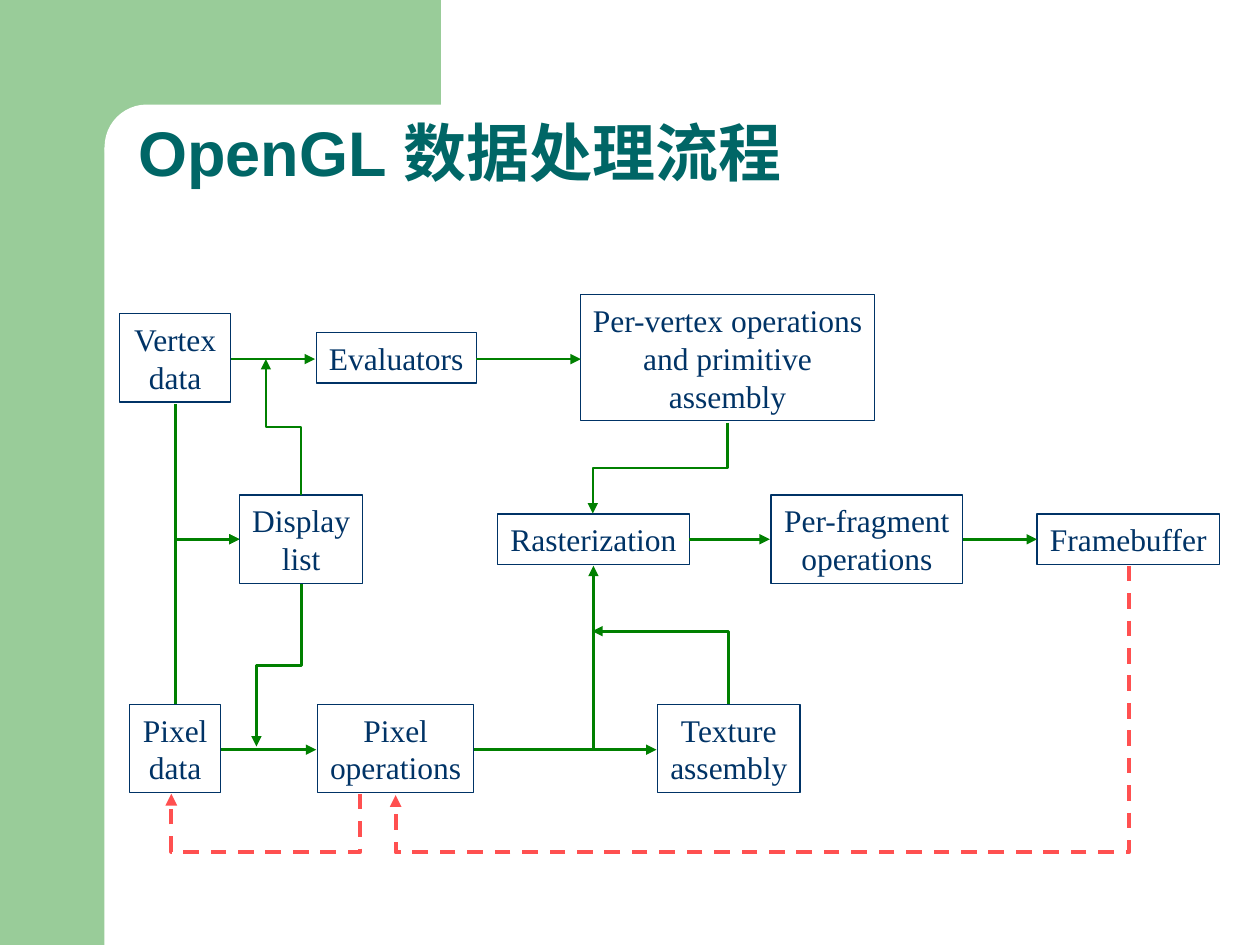
from lxml import etree
from pptx import Presentation
from pptx import util as u
from pptx.dml import color
from pptx.enum import dml, shapes, text
from pptx.oxml import ns

hue = color.RGBColor.from_string
GREEN, RED, NAVY, TEAL, PALE, WHITE = (
    "008000", "FF5050", "003366", "006666", "99CC99", "FFFFFF")

deck = Presentation()
deck.slide_width, deck.slide_height = u.Inches(10), u.Inches(7.5)
slide = deck.slides.add_slide(deck.slide_layouts[6])
items = slide.shapes


def ink(item, tone, width):
    item.line.color.rgb = hue(tone)
    item.line.width = u.Pt(width)
    if tone == RED:
        item.line.dash_style = dml.MSO_LINE.DASH
    edge = item.line._get_or_add_ln()
    etree.SubElement(edge, ns.qn("a:tailEnd"), type="triangle")


def write(para, words, font, size, tone, bold=False):
    run = para.add_run()
    run.text = words
    run.font.name = font
    run.font.size = u.Pt(size)
    run.font.bold = bold
    run.font.color.rgb = hue(tone)


kind = shapes.MSO_SHAPE
for form, spot, tone in [
    (kind.RECTANGLE, (0, 0, 0.83, 7.5), PALE),
    (kind.RECTANGLE, (0.75, 0, 2.75, 1.17), PALE),
    (kind.ROUNDED_RECTANGLE, (0.83, 0.83, 5.58, 0.67), WHITE),
]:
    block = items.add_shape(form, *map(u.Inches, spot))
    block.shadow.inherit = False
    block.fill.solid()
    block.fill.fore_color.rgb = hue(tone)
    block.line.fill.background()
block.adjustments[0] = 0.5

title = items.add_textbox(*map(u.Inches, (1, 0.74, 8.75, 0.82))).text_frame
title.word_wrap = True
title.vertical_anchor = text.MSO_ANCHOR.BOTTOM
head = title.paragraphs[0]
head.line_spacing = 0.9
write(head, "OpenGL 数据处理流程", "Arial", 36, TEAL, True)

for lines, x, y, w, h in [
    (["Vertex", "data"], 0.95, 2.49, 0.88, 0.7),
    (["Evaluators"], 2.51, 2.64, 1.27, 0.4),
    (["Per-vertex operations and primitive assembly"], 4.61, 2.34, 2.33, 1),
    (["Pixel", "data"], 1.03, 5.59, 0.72, 0.7),
    (["Pixel", "operations"], 2.52, 5.59, 1.24, 0.7),
    (["Texture", "assembly"], 5.22, 5.59, 1.13, 0.7),
    (["Display", "list"], 1.9, 3.93, 0.98, 0.7),
    (["Rasterization"], 3.95, 4.08, 1.52, 0.4),
    (["Per-fragment", "operations"], 6.12, 3.93, 1.52, 0.7),
    (["Framebuffer"], 8.23, 4.08, 1.45, 0.4),
]:
    box = items.add_textbox(*map(u.Inches, (x, y, w, h)))
    box.line.color.rgb = hue(NAVY)
    box.line.width = u.Pt(0.75)
    frame = box.text_frame
    frame.margin_left = frame.margin_right = u.Inches(0.08)
    frame.word_wrap = h == 1
    frame.auto_size = text.MSO_AUTO_SIZE.NONE
    for i, words in enumerate(lines):
        para = frame.add_paragraph() if i else frame.paragraphs[0]
        para.alignment = text.PP_ALIGN.CENTER
        write(para, words, "Times New Roman", 18, NAVY)

for form, x, y, w, h, turn, flip, bend, tone in [
    ("line", 1.83, 2.85, 0.67, 0, 0, "", None, GREEN),
    ("line", 3.78, 2.85, 0.83, 0, 0, "", None, GREEN),
    ("bentConnector2", 1.11, 3.49, 1.07, 0.51, 270, "H", None, GREEN),
    ("bentConnector2", 0.99, 4.68, 1.31, 0.51, 90, "HV", None, GREEN),
    ("line", 1.75, 5.95, 0.76, 0, 0, "", None, GREEN),
    ("bentConnector3", 1.71, 3.25, 1.08, 0.28, 270, "V", 0.5, GREEN),
    ("bentConnector3", 1.57, 5.1, 1.29, 0.36, 90, "", 0.5, GREEN),
    ("line", 3.76, 5.95, 1.45, 0, 0, "", None, GREEN),
    ("bentConnector2", 4.95, 4.76, 0.58, 1.08, 270, "V", None, GREEN),
    ("bentConnector2", 3.77, 4.49, 0.94, 1.46, 0, "V", None, GREEN),
    ("bentConnector3", 4.88, 3.18, 0.72, 1.07, 90, "", 0.5, GREEN),
    ("line", 5.47, 4.28, 0.64, 0, 0, "", None, GREEN),
    ("line", 7.64, 4.28, 0.59, 0, 0, "", None, GREEN),
    ("bentConnector3", 5.14, 2.49, 1.82, 5.82, 90, "", 1.25, RED),
]:
    ends = map(u.Inches, (x, y, x + w, y + h))
    wire = items.add_connector(shapes.MSO_CONNECTOR.STRAIGHT, *ends)
    ink(wire, tone, 2.25 if tone == RED else 1.5)
    props = wire._element.spPr
    etree.SubElement(props, ns.qn("a:effectLst"))
    place = props.find(ns.qn("a:xfrm"))
    if turn:
        place.set("rot", str(turn * 60000))
    for axis in flip:
        place.set("flip" + axis, "1")
    shape = props.find(ns.qn("a:prstGeom"))
    shape.set("prst", form)
    if bend:
        guides = shape.find(ns.qn("a:avLst"))
        etree.SubElement(guides, ns.qn("a:gd"), name="adj1",
                         fmla=f"val {round(bend * 100000)}")

loop = [(u.Inches(x), u.Inches(y)) for x, y in
        [(2.86, 6.3), (2.86, 6.76), (1.36, 6.76), (1.36, 6.3)]]
pen = items.build_freeform(*loop[0])
pen.add_line_segments(loop[1:], close=False)
back = pen.convert_to_shape()
back.shadow.inherit = False
back.fill.background()
ink(back, RED, 2.25)

deck.save("out.pptx")
